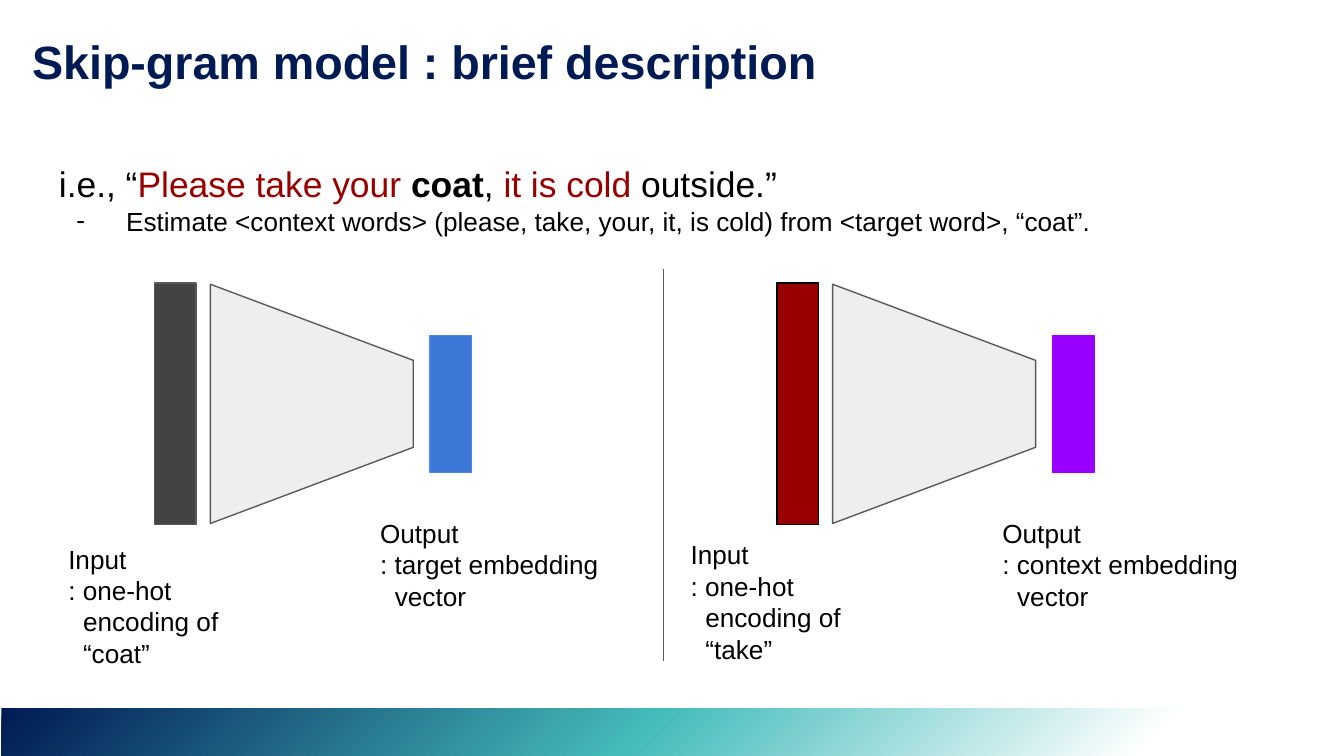
from lxml.etree import SubElement
from pptx import Presentation
from pptx.dml.color import RGBColor
from pptx.enum.shapes import MSO_CONNECTOR, MSO_SHAPE
from pptx.oxml.ns import qn
from pptx.util import Inches, Pt

# Colours
NAVY = RGBColor(0x00, 0x1B, 0x54)
TEAL = RGBColor(0x45, 0xBC, 0xBC)
WHITE = RGBColor(0xFF, 0xFF, 0xFF)
BLACK = RGBColor(0x00, 0x00, 0x00)
DARK_RED = RGBColor(0x98, 0x00, 0x00)
CHARCOAL = RGBColor(0x43, 0x43, 0x43)
GREY = RGBColor(0x59, 0x59, 0x59)
LIGHT_GREY = RGBColor(0xEE, 0xEE, 0xEE)
BLUE = RGBColor(0x3C, 0x78, 0xD8)
LIGHT_BLUE = RGBColor(0x4A, 0x86, 0xE8)
PURPLE = RGBColor(0x99, 0x00, 0xFF)

# Grid: 100 columns and 56.25 rows on the slide
COLUMNS, ROWS = 100, 56.25
CELL = Inches(0.1)
PANEL_STEP = 46.3  # columns from the left panel to the right one
MIDDLE_ROW = 30.05  # all network parts are centred on this row

FONT = "Arial"
TITLE = {"size": Pt(25), "bold": True, "color": NAVY}
SENTENCE = {"size": Pt(19), "color": BLACK}
CONTEXT = {**SENTENCE, "color": DARK_RED}
TARGET = {**SENTENCE, "bold": True}
DETAIL = {"size": Pt(14), "color": BLACK}

PANELS = [
    {"input": (CHARCOAL, GREY), "output": (BLUE, LIGHT_BLUE),
     "word": "“coat”", "input_row": 39.4,
     "embedding": ": target embedding", "output_width": 25},
    {"input": (DARK_RED, BLACK), "output": (PURPLE, PURPLE),
     "word": "“take”", "input_row": 39.1,
     "embedding": ": context embedding", "output_width": 26.4},
]


def cells(*counts):
    return [round(count * CELL) for count in counts]


def add_run(paragraph, text, style):
    run = paragraph.add_run()
    run.text = text
    for name, value in {"name": FONT, **style}.items():
        if name == "color":
            run.font.color.rgb = value
        else:
            setattr(run.font, name, value)


def add_text_frame(slide, *box):
    frame = slide.shapes.add_textbox(*cells(*box)).text_frame
    margins = ("margin_left", "margin_top", "margin_right", "margin_bottom")
    for name, value in {"word_wrap": True, **dict.fromkeys(margins, CELL)}.items():
        setattr(frame, name, value)
    return frame


def set_indent(paragraph, left, first=0.0):
    properties = paragraph._p.get_or_add_pPr()
    for name, value in {"marL": left, "indent": first}.items():
        properties.set(name, str(Inches(value)))
    return properties


def add_label(slide, box, lines):
    """Lines after the second align with the text behind the colon."""
    frame = add_text_frame(slide, *box)
    for index, line in enumerate(lines):
        paragraph = frame.add_paragraph() if index else frame.paragraphs[0]
        if index > 1:
            set_indent(paragraph, 0.11)
        add_run(paragraph, line, DETAIL)


def add_part(slide, kind, center, width, height, colors):
    box = cells(center - width / 2, MIDDLE_ROW - height / 2, width, height)
    shape = slide.shapes.add_shape(kind, *box)
    shape.shadow.inherit = False
    shape.fill.solid()
    shape.fill.fore_color.rgb, shape.line.color.rgb = colors
    shape.line.width = Pt(0.75)
    return shape


def add_band(slide):
    band = slide.shapes.add_shape(MSO_SHAPE.RECTANGLE, *cells(0.1, 52.7, COLUMNS, 3.7))
    band.shadow.inherit = False
    band.line.fill.background()
    band.fill.gradient()
    band.fill.gradient_angle = 315
    stops = band._element.spPr.find(qn("a:gradFill")).find(qn("a:gsLst"))
    for stop in list(stops):
        stops.remove(stop)
    for percent, color in ((0, NAVY), (48, TEAL), (85, WHITE), (100, WHITE)):
        stop = SubElement(stops, qn("a:gs"), pos=str(percent * 1000))
        SubElement(stop, qn("a:srgbClr"), val=str(color))


def add_divider(slide):
    ends = cells(49.37, 20, 49.37, 49.2)
    divider = slide.shapes.add_connector(MSO_CONNECTOR.STRAIGHT, *ends)
    divider.line.color.rgb = GREY
    divider.line.width = Pt(0.75)
    SubElement(divider._element.spPr, qn("a:effectLst"))


def add_example(slide):
    frame = add_text_frame(slide, 3.4, 11.1, 91.9, 38.3)
    for text, style in (
        ("i.e., “", SENTENCE), ("Please take your ", CONTEXT), ("coat", TARGET),
        (", ", SENTENCE), ("it is cold", CONTEXT), (" outside.”", SENTENCE),
    ):
        add_run(frame.paragraphs[0], text, style)
    task = frame.add_paragraph()
    properties = set_indent(task, 0.5, -0.37)
    bullet_color = SubElement(properties, qn("a:buClr"))
    SubElement(bullet_color, qn("a:srgbClr"), val=str(BLACK))
    SubElement(properties, qn("a:buSzPts"), val="1400")
    SubElement(properties, qn("a:buFont"), typeface=FONT)
    SubElement(properties, qn("a:buChar"), char="-")
    add_run(task, "Estimate <context words> (please, take, your, it, is cold) "
                  "from <target word>, “coat”.", DETAIL)


def add_panel(slide, left, panel):
    # Input vector, projection and output vector
    add_part(slide, MSO_SHAPE.RECTANGLE, left + 13.05, 3.1, 18, panel["input"])
    projection = add_part(slide, MSO_SHAPE.TRAPEZOID, left + 23.2, 17.8, 15.1,
                          (LIGHT_GREY, GREY))
    projection.rotation = 90
    projection.adjustments[0] = 0.375
    add_part(slide, MSO_SHAPE.RECTANGLE, left + 33.55, 3.1, 10.2, panel["output"])
    # Captions
    add_label(slide, (left + 4.1, panel["input_row"], 14.3, 9.4),
              ("Input", ": one-hot", "encoding of", panel["word"]))
    add_label(slide, (left + 27.3, 37.5, panel["output_width"], 9.4),
              ("Output", panel["embedding"], "vector"))


def main():
    presentation = Presentation()
    presentation.slide_width, presentation.slide_height = cells(COLUMNS, ROWS)
    slide = presentation.slides.add_slide(presentation.slide_layouts[6])
    add_band(slide)
    title = add_text_frame(slide, 1.4, 1.45, 97.2, 6.3)
    add_run(title.paragraphs[0], "Skip-gram model : brief description", TITLE)
    add_example(slide)
    for index, panel in enumerate(PANELS):
        add_panel(slide, index * PANEL_STEP, panel)
    add_divider(slide)
    presentation.save("out.pptx")


if __name__ == "__main__":
    main()
